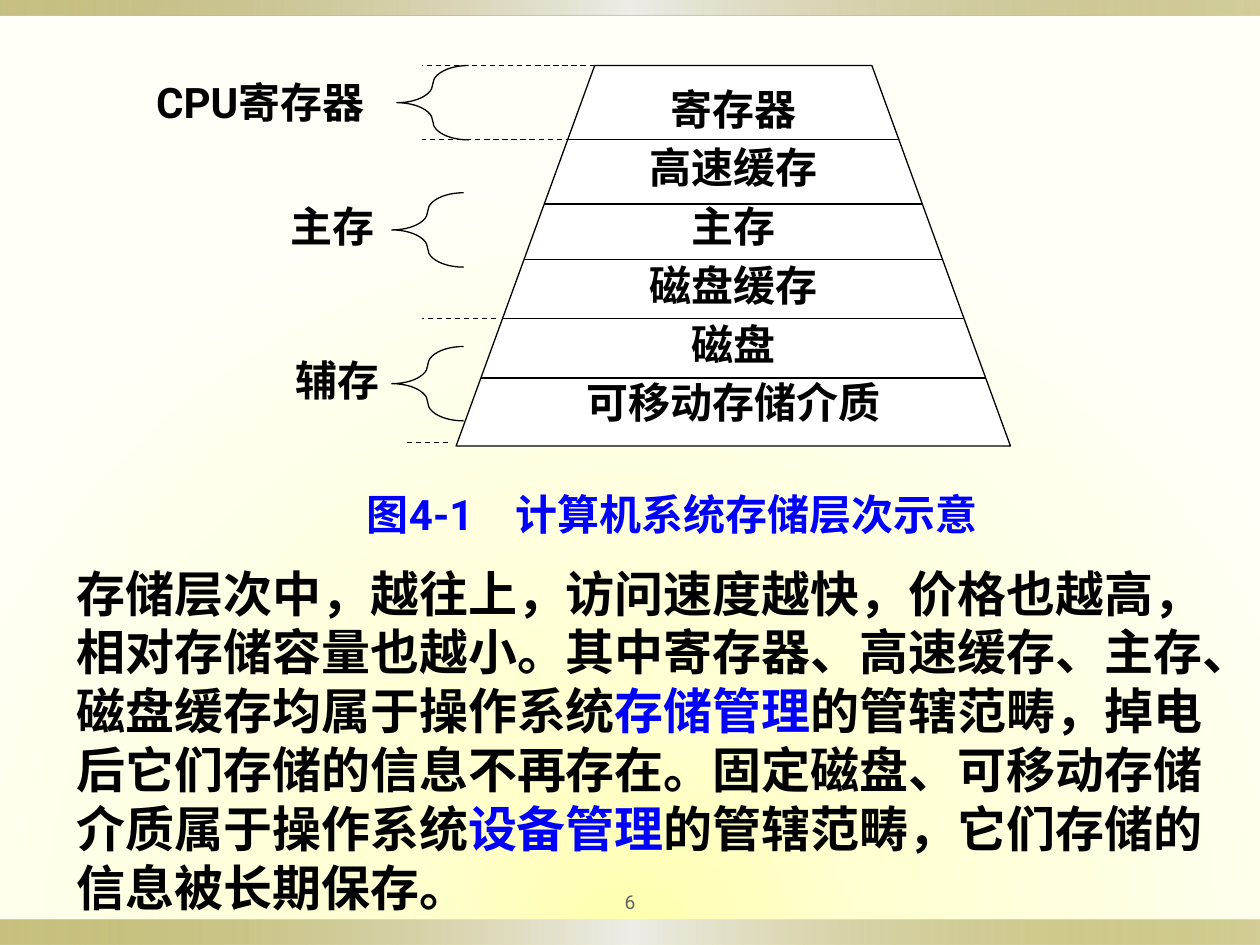
from pptx import Presentation
from pptx.dml.color import RGBColor
from pptx.enum.dml import MSO_LINE
from pptx.enum.shapes import MSO_CONNECTOR, MSO_SHAPE
from pptx.enum.text import MSO_ANCHOR, PP_ALIGN
from pptx.oxml import parse_xml
from pptx.oxml.ns import nsdecls, qn
from pptx.util import Inches, Pt

THEME = {
    "ink": RGBColor(0, 0, 0),
    "accent": RGBColor(0, 0, 255),
    "muted": RGBColor(0x63, 0x63, 0x63),
    "paper": RGBColor(255, 255, 255),
    "glow": [(0, "FFFFAC", 100), (31, "FFFFD2", 100), (100, "FFFFF7", 100)],
    "band": [(0, "918415", 50), (50, "EEEDE8", 100), (100, "918415", 40)],
    "label_size": Pt(24),
    "body_size": Pt(28),
    "number_size": Pt(11),
    "line_width": Pt(0.75),
}


def set_gradient(owner, stops, direction):
    """Replace the empty fill inside owner with (percent, colour, opacity) stops."""
    stop_xml = "".join(
        f'<a:gs pos="{place * 1000}"><a:srgbClr val="{colour}">'
        f'<a:alpha val="{opacity * 1000}"/></a:srgbClr></a:gs>'
        for place, colour, opacity in stops
    )
    empty = owner.find(".//" + qn("a:noFill"))
    empty.getparent().replace(empty, parse_xml(
        f'<a:gradFill {nsdecls("a")} rotWithShape="1">'
        f'<a:gsLst>{stop_xml}</a:gsLst>{direction}</a:gradFill>'
    ))


def write(para, runs, align, **formats):
    """Add (text, colour) runs that share the given font formats."""
    para.alignment = align
    for text, colour in runs:
        span = para.add_run()
        span.text = text
        for name, value in formats.items():
            setattr(span.font, name, value)
        span.font.color.rgb = colour


deck = Presentation()
deck.slide_width, deck.slide_height = Inches(10), Inches(7.5)
page = deck.slides.add_slide(deck.slide_layouts[6])
shapes = page.shapes

# Background and the two bands
page.background.fill.background()
set_gradient(page.background._cSld, THEME["glow"],
             '<a:path path="circle"><a:fillToRect l="50000" t="150000" r="50000"/></a:path>')
for top, height in [(7.3, 0.2), (0, 0.12)]:
    band = shapes.add_shape(MSO_SHAPE.RECTANGLE, 0, Inches(top), Inches(10), Inches(height))
    band.shadow.inherit = False
    band.fill.background()
    band.line.fill.background()
    set_gradient(band._element, THEME["band"], '<a:lin ang="0" scaled="0"/>')

# Storage pyramid
TOP, BOTTOM = 0.52, 3.54
TOP_LEFT, TOP_RIGHT, SPREAD = 4.72, 6.92, 1.1
corners = [(TOP_LEFT, TOP), (TOP_RIGHT, TOP),
           (TOP_RIGHT + SPREAD, BOTTOM), (TOP_LEFT - SPREAD, BOTTOM)]
points = [(Inches(x), Inches(y)) for x, y in corners]
outline = shapes.build_freeform(*points[0])
outline.add_line_segments(points[1:], close=True)
pyramid = outline.convert_to_shape()
pyramid.shadow.inherit = False
pyramid.fill.solid()
pyramid.fill.fore_color.rgb = THEME["paper"]
pyramid.line.color.rgb = THEME["ink"]
pyramid.line.width = THEME["line_width"]
frame = pyramid.text_frame
frame.word_wrap = False
frame.vertical_anchor = MSO_ANCHOR.MIDDLE
frame.margin_top, frame.margin_bottom = 0, Inches(0.01)
tiers = ["寄存器", "高速缓存", "主存", "磁盘缓存", "磁盘", "可移动存储介质"]
for index, tier in enumerate(tiers):
    para = frame.add_paragraph() if index else frame.paragraphs[0]
    if index:
        para.space_before = Pt(4.8)
    write(para, [(tier, THEME["ink"])], PP_ALIGN.CENTER,
          name="Lato", size=THEME["label_size"], bold=True)

# Tier borders run from edge to edge; dashed guides run out to the left
lines = []
for y in [1.11, 1.62, 2.06, 2.53, 3]:
    shift = SPREAD * (y - TOP) / (BOTTOM - TOP)
    lines.append((TOP_LEFT - shift, TOP_RIGHT + shift, y, None))
for start, end, y in [(4.72, 3.35, 0.52), (4.53, 3.35, 1.11),
                      (3.94, 3.35, 2.53), (3.23, 3.58, 3.51)]:
    lines.append((start, end, y, MSO_LINE.DASH))
for start, end, y, dash in lines:
    rule = shapes.add_connector(MSO_CONNECTOR.STRAIGHT, Inches(start), Inches(y),
                                Inches(end), Inches(y))
    rule.line.color.rgb = THEME["ink"]
    rule.line.width = THEME["line_width"]
    if dash:
        rule.line.dash_style = dash
    rule._element.spPr.append(parse_xml(f'<a:effectLst {nsdecls("a")}/>'))

# Braces
for left, top, curve in [(3.15, 0.52, 0.42), (3.11, 1.53, 1), (3.11, 2.75, 0.67)]:
    brace = shapes.add_shape(MSO_SHAPE.LEFT_BRACE, Inches(left), Inches(top),
                             Inches(0.57), Inches(0.59))
    brace.shadow.inherit = False
    brace.adjustments[0] = curve
    brace.fill.background()
    brace.line.color.rgb = THEME["ink"]
    brace.line.width = THEME["line_width"]

# Text boxes: place, side and top margins, anchor, alignment, runs, font formats
ink, accent = THEME["ink"], THEME["accent"]
label = {"name": "Roboto", "size": THEME["label_size"], "bold": True}
body = {"name": "Lato", "size": THEME["body_size"], "bold": True}
number = {"name": "Roboto", "size": THEME["number_size"]}
body_runs = [
    ("存储层次中，越往上，访问速度越快，价格也越高，相对存储容量也越小。"
     "其中寄存器、高速缓存、主存、磁盘缓存均属于操作系统", ink),
    ("存储管理", accent),
    ("的管辖范畴，掉电后它们存储的信息不再存在。"
     "固定磁盘、可移动存储介质属于操作系统", ink),
    ("设备管理", accent),
    ("的管辖范畴，它们存储的信息被长期保存。", ink),
]
center, left_side = PP_ALIGN.CENTER, PP_ALIGN.LEFT
upper, middle = MSO_ANCHOR.TOP, MSO_ANCHOR.MIDDLE
text_boxes = [
    ((1.14, 0.6, 1.85, 0.43), (0, 0.01), upper, center, [("CPU寄存器", ink)], label),
    ((2.05, 1.58, 1.18, 0.43), (0, 0.01), upper, center, [("主存", ink)], label),
    ((2.05, 2.8, 1.26, 0.43), (0, 0.01), upper, center, [("辅存", ink)], label),
    ((2.48, 3.83, 5.71, 0.51), (0.1, 0.05), upper, center,
     [("图4-1　计算机系统存储层次示意", accent)], label),
    ((0.51, 4.42, 9.21, 2.93), (0.1, 0.05), upper, left_side, body_runs, body),
    ((4.5, 7, 1, 0.31), (0.05, 0.05), middle, center, [("6", THEME["muted"])], number),
]
for place, (side, end), anchor, align, runs, formats in text_boxes:
    box = shapes.add_textbox(*map(Inches, place))
    settings = {
        "word_wrap": True, "vertical_anchor": anchor,
        "margin_left": Inches(side), "margin_right": Inches(side),
        "margin_top": Inches(end), "margin_bottom": Inches(end),
    }
    for name, value in settings.items():
        setattr(box.text_frame, name, value)
    write(box.text_frame.paragraphs[0], runs, align, **formats)

deck.save("out.pptx")
